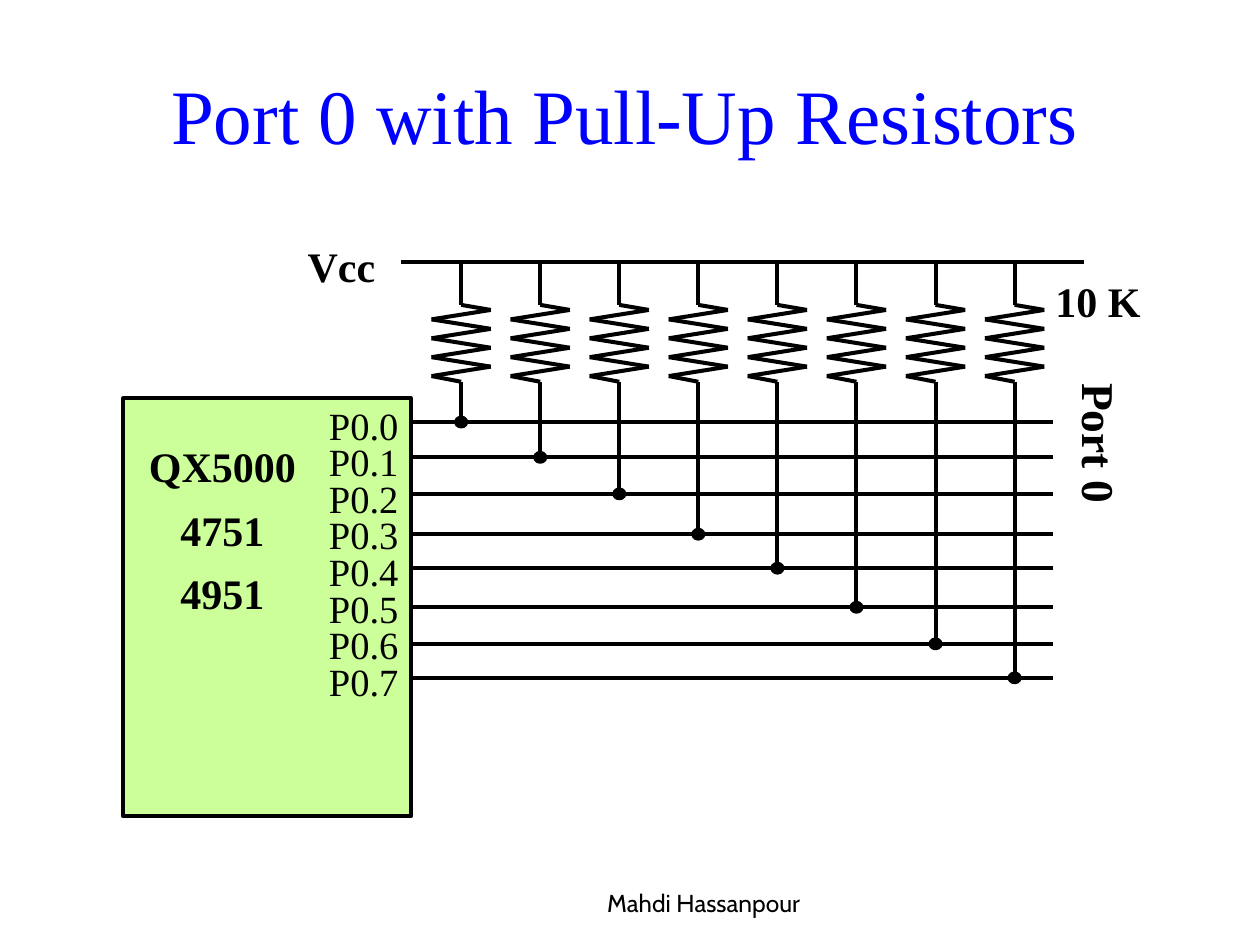
from itertools import pairwise

from pptx import Presentation
from pptx.dml.color import RGBColor
from pptx.enum.shapes import MSO_CONNECTOR, MSO_SHAPE
from pptx.enum.text import MSO_ANCHOR, PP_ALIGN
from pptx.oxml.ns import qn
from pptx.util import Inches, Pt
from lxml import etree

COLORS = {"title": "0000FF", "ink": "000000", "chip": "CCFF99"}
SERIF = "Times New Roman"
LINE_WIDTH = Pt(2.3)

prs = Presentation()
prs.slide_width, prs.slide_height = Inches(10), Inches(7.5)
slide = prs.slides.add_slide(prs.slide_layouts[6])
shapes = slide.shapes


def add_wire(x1, y1, x2, y2):
    wire = shapes.add_connector(
        MSO_CONNECTOR.STRAIGHT, Inches(x1), Inches(y1), Inches(x2), Inches(y2))
    wire.line.color.rgb = RGBColor.from_string(COLORS["ink"])
    wire.line.width = LINE_WIDTH
    etree.SubElement(wire._element.spPr, qn("a:effectLst"))


def add_label(text, left, top, width, height, size, align=PP_ALIGN.CENTER,
              bold=True, font=SERIF, color="ink", anchor=MSO_ANCHOR.TOP):
    box = shapes.add_textbox(Inches(left), Inches(top), Inches(width), Inches(height))
    frame = box.text_frame
    frame.word_wrap = True
    frame.vertical_anchor = anchor
    frame.text = text
    for paragraph in frame.paragraphs:
        paragraph.alignment = align
        run_font = paragraph.runs[0].font
        run_font.name, run_font.size, run_font.bold = font, Pt(size), bold
        run_font.color.rgb = RGBColor.from_string(COLORS[color])
    return frame


add_label("Port 0 with Pull-Up Resistors", 1.26, 0.23, 8.52, 1.09, 44,
          align=PP_ALIGN.LEFT, bold=False, color="title", anchor=MSO_ANCHOR.BOTTOM)

# Pull-up resistors: one per port line, hanging from the Vcc rail
RAIL_Y = 2.08
HALF_WIDTH = 0.235
port_line_ys = [3.35, 3.63, 3.92, 4.24, 4.51, 4.82, 5.11, 5.38]
resistor_xs = [3.66 + 0.6275 * i for i in range(8)]
zigzag_ys = [2.46 + 0.075 * i for i in range(8)]

for x, port_y in zip(resistor_xs, port_line_ys):
    zigzag = [(x + HALF_WIDTH * (-1) ** i, y) for i, y in enumerate(zigzag_ys)]
    points = [(x, RAIL_Y), (x, 2.42), *zigzag, (x, 3.03), (x, port_y)]
    for start, end in pairwise(points):
        add_wire(*start, *end)
add_wire(3.18, RAIL_Y, 8.6, RAIL_Y)

# Microcontroller with its port pins
chip = shapes.add_shape(
    MSO_SHAPE.RECTANGLE, Inches(0.98), Inches(3.16), Inches(2.28), Inches(3.32))
junctions = []
for pin, (x, y) in enumerate(zip(resistor_xs, port_line_ys)):
    add_label(f"P0.{pin}", 2.32, 3.14 + 0.29 * pin, 0.94, 0.47, 22,
              align=PP_ALIGN.RIGHT, bold=False)
    add_wire(3.26, y, 8.36, y)
    junctions.append(shapes.add_shape(
        MSO_SHAPE.OVAL, Inches(x - 0.04), Inches(y - 0.035), Inches(0.08), Inches(0.07)))

for part, fill in [(chip, "chip")] + [(junction, "ink") for junction in junctions]:
    part.shadow.inherit = False
    part.fill.solid()
    part.fill.fore_color.rgb = RGBColor.from_string(COLORS[fill])
    part.line.color.rgb = RGBColor.from_string(COLORS["ink"])
    part.line.width = LINE_WIDTH

chip_models = add_label("QX5000\n4751\n4951", 1.06, 3.45, 1.41, 1.47, 24)
for paragraph in chip_models.paragraphs:
    paragraph.space_before = Pt(7.5)

add_label("Vcc", 2.24, 1.86, 0.94, 0.5, 24)
add_label("10 K", 8.21, 2.14, 0.94, 0.5, 24, align=PP_ALIGN.RIGHT)

port_name = add_label("Port 0", 8.37, 2.94, 0.63, 2.38, 26)
port_name._txBody.bodyPr.set("vert", "eaVert")
port_name.margin_left = port_name.margin_right = Inches(0.05)
port_name.margin_top = port_name.margin_bottom = Inches(0.1)

add_label("Mahdi Hassanpour", 4, 6.83, 3.17, 0.5, 14,
          bold=False, font="Cabin", anchor=MSO_ANCHOR.BOTTOM)

prs.save("out.pptx")
